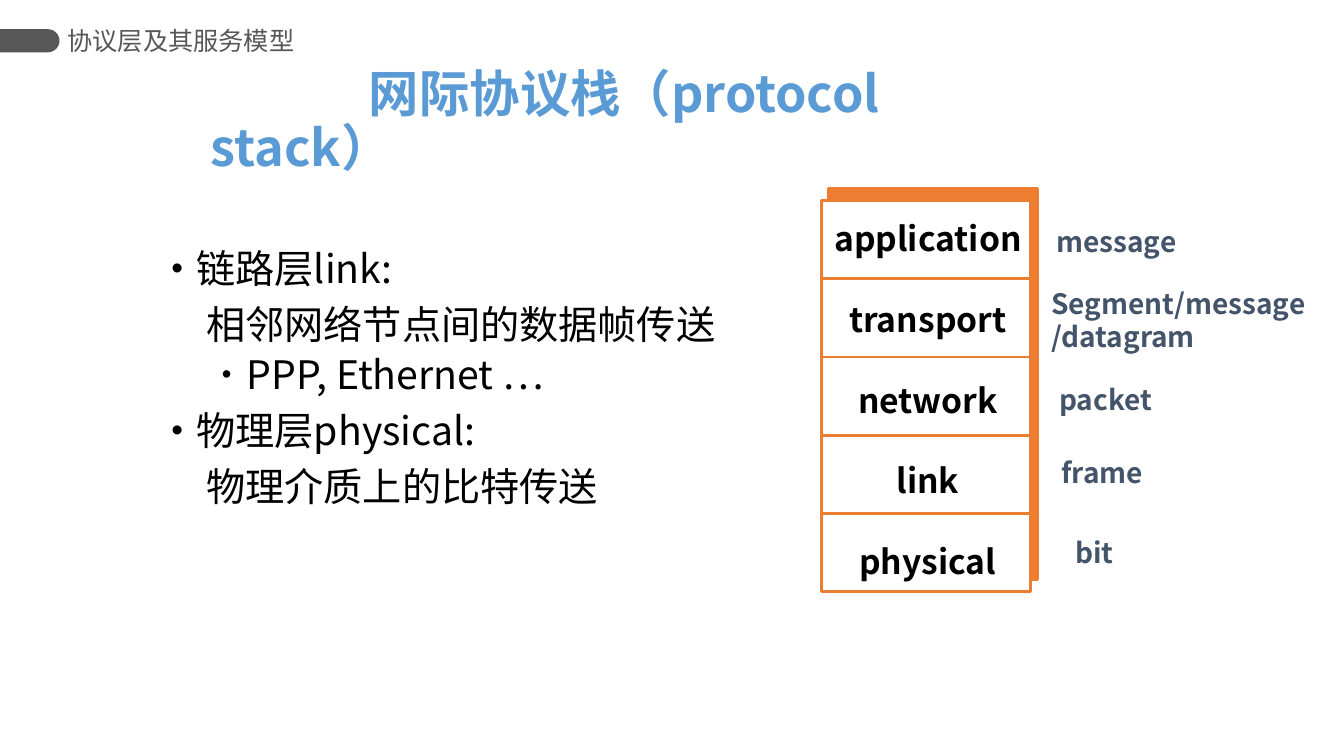
from lxml import etree
from pptx import Presentation
from pptx.dml.color import RGBColor
from pptx.enum import shapes, text
from pptx.oxml.ns import qn
from pptx.util import Pt

FONT = "Noto Sans CJK SC"
COLORS = {"gray": "575757", "blue": "5B9BD5", "orange": "ED7D31",
          "slate": "44546A", "black": "000000", "white": "FFFFFF"}

SECTION = "协议层及其服务模型"
TITLE = "网际协议栈（protocol stack）"
# text, level, left margin, first-line indent, bullet size in percent (0: none), space before
BODY = [
    ("链路层link:", 0, 18, -18, 85, 0),
    ("相邻网络节点间的数据帧传送", 0, 25, 0, 0, 10),
    ("PPP, Ethernet …", 1, 54, -18, 70, 5),
    ("物理层physical:", 0, 18, -18, 85, 10),
    ("物理介质上的比特传送", 0, 25, 0, 0, 10),
]
LAYERS = ["application", "transport", "network", "link", "physical"]
# lines, then left, top, width, height
UNITS = [
    (["message"], (747.4, 157, 103, 31.7)),
    (["Segment/message", "/datagram"], (743.8, 200.9, 203, 55.4)),
    (["packet"], (749.5, 270, 82, 31.7)),
    (["frame"], (751, 321.8, 74.9, 31.7)),
    (["bit"], (761, 378.7, 42.5, 31.7)),
]
STACK = (586.8, 143.3, 149.6, 279.4)
SHADOW_SHIFT = (5, -8.6)

FORMATS = {
    "section": {"size": Pt(18), "bold": False, "color": "gray"},
    "title": {"size": Pt(36), "bold": True, "color": "blue"},
    "body": {"size": Pt(28), "bold": False, "color": "black"},
    "layer": {"size": Pt(24), "bold": True, "color": "black"},
    "unit": {"size": Pt(20), "bold": True, "color": "slate"},
}


def rgb(name):
    return RGBColor.from_string(COLORS[name])


def place(sp, box):
    sp.left, sp.top, sp.width, sp.height = map(Pt, box)


def write(p, words, style):
    r = p.add_run()
    r.text = words
    r.font.name = FONT
    for key, value in FORMATS[style].items():
        if key == "color":
            r.font.color.rgb = rgb(value)
        else:
            setattr(r.font, key, value)
    etree.SubElement(r._r.get_or_add_rPr(), qn("a:ea"), typeface=FONT)


def set_paragraph(p, margin=0, indent=0, bullet=0, **attributes):
    pPr = p._p.get_or_add_pPr()
    pPr.set("marL", str(Pt(margin)))
    pPr.set("indent", str(Pt(indent)))
    if bullet:
        etree.SubElement(pPr, qn("a:buSzPct"), val=str(bullet * 1000))
        etree.SubElement(pPr, qn("a:buFont"), typeface="Arial")
        etree.SubElement(pPr, qn("a:buChar"), char="•")
    else:
        etree.SubElement(pPr, qn("a:buNone"))
    for key, value in attributes.items():
        setattr(p, key, value)


def paragraphs(tf, count):
    return [tf.paragraphs[0]] + [tf.add_paragraph() for _ in range(count - 1)]


def set_frame(tf, **attributes):
    settings = {"word_wrap": True, "auto_size": text.MSO_AUTO_SIZE.NONE,
                "margin_left": Pt(7.2), "margin_right": Pt(7.2),
                "margin_top": Pt(3.6), "margin_bottom": Pt(3.6)}
    for key, value in (settings | attributes).items():
        setattr(tf, key, value)


def add_label(slide, box, lines, style, align=text.PP_ALIGN.LEFT, gap=0, **frame):
    tf = slide.shapes.add_textbox(*map(Pt, box)).text_frame
    set_frame(tf, **frame)
    for i, (p, line) in enumerate(zip(paragraphs(tf, len(lines)), lines)):
        p.alignment = align
        p.space_before = Pt(gap if i else 0)
        write(p, line, style)


def add_block(slide, kind, box, fill, line):
    sp = slide.shapes.add_shape(kind, *map(Pt, box))
    sp.shadow.inherit = False
    sp.fill.solid()
    sp.fill.fore_color.rgb = rgb(fill)
    if line:
        sp.line.color.rgb = rgb(line)
        sp.line.width = Pt(2)
    else:
        sp.line.fill.background()
    return sp


def add_header(slide):
    length, thick, top = 42.5, 16.5, 20.9
    box = ((length - thick) / 2, top - (length - thick) / 2, thick, length)
    tab = add_block(slide, shapes.MSO_SHAPE.ROUND_2_SAME_RECTANGLE, box, "gray", None)
    tab.rotation = 90
    tab.adjustments[0] = 0.5
    add_label(slide, (48.2, 13.7, 167.8, 30.2), [SECTION], "section",
              margin_left=0, margin_right=0, vertical_anchor=text.MSO_ANCHOR.MIDDLE)


def add_texts(slide):
    title, body = slide.shapes.title, slide.placeholders[1]
    place(title, (143.3, 64.8, 641.5, 46.8))
    set_frame(title.text_frame, margin_right=Pt(24),
              vertical_anchor=text.MSO_ANCHOR.MIDDLE)
    p = title.text_frame.paragraphs[0]
    set_paragraph(p, indent=113, alignment=text.PP_ALIGN.LEFT, line_spacing=0.9)
    write(p, TITLE, "title")

    place(body, (115.2, 94.3, 479.5, 327.6))
    set_frame(body.text_frame, margin_top=Pt(84), vertical_anchor=text.MSO_ANCHOR.TOP)
    for p, row in zip(paragraphs(body.text_frame, len(BODY)), BODY):
        words, level, margin, indent, bullet, before = row
        set_paragraph(p, margin, indent, bullet, level=level, line_spacing=0.9,
                      space_before=Pt(before), alignment=text.PP_ALIGN.LEFT)
        write(p, words, "body")


def add_stack(slide):
    left, top, width, height = STACK
    dx, dy = SHADOW_SHIFT
    rect = shapes.MSO_SHAPE.RECTANGLE
    add_block(slide, rect, (left + dx, top + dy, width, height), "orange", "orange")
    add_block(slide, rect, STACK, "white", "orange")
    add_label(slide, (587.5, 151.9, 150.5, 269.3), LAYERS, "layer",
              text.PP_ALIGN.CENTER, gap=29, word_wrap=False)
    for i in range(1, len(LAYERS)):
        y = top + i * height / len(LAYERS)
        line = slide.shapes.add_connector(shapes.MSO_CONNECTOR.STRAIGHT,
                                          Pt(left), Pt(y), Pt(left + width), Pt(y))
        line.line.color.rgb = rgb("orange")
        line.line.width = Pt(2)
        etree.SubElement(line._element.spPr, qn("a:effectLst"))
    for lines, box in UNITS:
        add_label(slide, box, lines, "unit", word_wrap=False,
                  auto_size=text.MSO_AUTO_SIZE.SHAPE_TO_FIT_TEXT)


def main():
    prs = Presentation()
    prs.slide_width, prs.slide_height = Pt(960), Pt(540)
    slide = prs.slides.add_slide(prs.slide_layouts[1])
    add_header(slide)
    add_texts(slide)
    add_stack(slide)
    prs.save("out.pptx")


if __name__ == "__main__":
    main()
